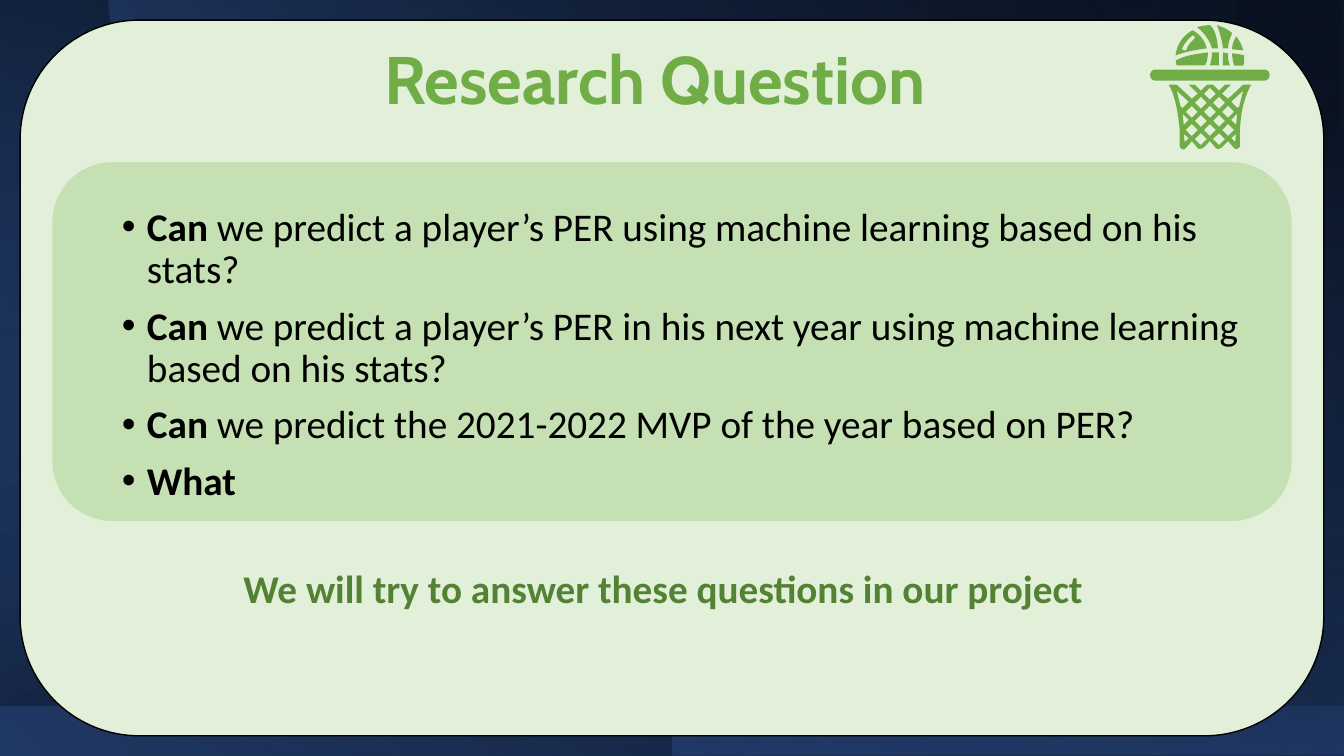
import pptx
import pptx.util
import pptx.dml.color
import pptx.enum.shapes
import pptx.enum.text
import pptx.oxml.ns
from lxml import etree

Inches, Pt = pptx.util.Inches, pptx.util.Pt
RGBColor = pptx.dml.color.RGBColor
SHAPE = pptx.enum.shapes.MSO_SHAPE
CENTER = pptx.enum.text.PP_ALIGN.CENTER
qn = pptx.oxml.ns.qn

BLACK = RGBColor(0x00, 0x00, 0x00)
NAVY = RGBColor(0x20, 0x38, 0x64)
BLUE = RGBColor(0x2F, 0x55, 0x97)
BRIGHT_BLUE = RGBColor(0x44, 0x72, 0xC4)
PALE_GREEN = RGBColor(0xE2, 0xF0, 0xD9)
SOFT_GREEN = RGBColor(0xA9, 0xD1, 0x8E)
GREEN = RGBColor(0x70, 0xAD, 0x47)
DARK_GREEN = RGBColor(0x54, 0x82, 0x35)

TITLE = "Research Question"
QUESTIONS = [
    ("Can", " we predict a player’s PER using machine learning based on his stats?"),
    ("Can", " we predict a player’s PER in his next year using machine learning based on his stats?"),
    ("Can", " we predict the 2021-2022 MVP of the year based on PER?"),
    ("What", ""),
]
CLOSING = "We will try to answer these questions in our project"

BACKDROP = [
    ((0, 0, 13.33, 7.5), 0, True, 230, [(0, NAVY, 100), (100, BLACK, 100)]),
    ((0, 0, 13.33, 7), 180, False, 250, [(1, BLUE, 59), (100, BLACK, 100)]),
    ((2.91, -2.9, 7.5, 13.3), 90, True, 0, [(13, NAVY, 0), (99, BLACK, 28)]),
    ((6.67, 0, 6.67, 7.5), 0, True, 100, [(13, NAVY, 0), (99, BLUE, 50)]),
    ((0, 0, 13.32, 7.52), 0, True, 80, [(13, BLACK, 35), (99, BLUE, 0)]),
]
BOWL = [(1.08, 0), (12.25, 0), (12.25, 0.14), (11.96, 2.97, 9.57, 5.18, 6.67, 5.18),
        (3.76, 5.18, 1.37, 2.97, 1.09, 0.14)]
BOWL_FILL = (170, [(7, NAVY, 4), (99, BRIGHT_BLUE, 24)])

BALL_AND_RIM = [
    [[(12.07, 0.25), (12.1, 0.33, 12.12, 0.4, 12.13, 0.48), (12.18, 0.48),
      (12.18, 0.43, 12.2, 0.38, 12.22, 0.33), (12.18, 0.29, 12.13, 0.27, 12.07, 0.25)]],
    [[(12.13, 0.52), (12.13, 0.65), (12.2, 0.65),
      (12.18, 0.61, 12.18, 0.57, 12.18, 0.53)]],
    [[(12.26, 0.36), (12.24, 0.4, 12.22, 0.44, 12.22, 0.49), (12.33, 0.5),
      (12.32, 0.45, 12.29, 0.4, 12.26, 0.36)]],
    [[(12.07, 0.52), (12.02, 0.52), (12.02, 0.58, 12.01, 0.61, 12, 0.65),
      (12.09, 0.65), (12.09, 0.52)]],
    [[(12.22, 0.53), (12.22, 0.57, 12.23, 0.61, 12.24, 0.65), (12.33, 0.65),
      (12.34, 0.63, 12.34, 0.61, 12.34, 0.55), (12.3, 0.54, 12.26, 0.53, 12.22, 0.53)]],
    [[(11.83, 0.3), (11.73, 0.35, 11.67, 0.45, 11.66, 0.55),
      (11.74, 0.52, 11.82, 0.5, 11.97, 0.48), (11.95, 0.4, 11.9, 0.34, 11.83, 0.3)],
     [(11.83, 0.35), (11.85, 0.36, 11.86, 0.37, 11.84, 0.39),
      (11.81, 0.42, 11.78, 0.45, 11.77, 0.49), (11.76, 0.51, 11.71, 0.5, 11.73, 0.47),
      (11.75, 0.43, 11.78, 0.39, 11.83, 0.35)]],
    [[(11.46, 0.69), (11.39, 0.69, 11.39, 0.8, 11.46, 0.8), (12.54, 0.8),
      (12.61, 0.8, 12.61, 0.69, 12.54, 0.69)]],
    [[(11.98, 0.52), (11.91, 0.53), (11.83, 0.54, 11.74, 0.56, 11.66, 0.6),
      (11.67, 0.65), (11.95, 0.65), (11.97, 0.62, 11.98, 0.58, 11.98, 0.52)]],
    [[(12, 0.25), (11.96, 0.25, 11.91, 0.26, 11.87, 0.27),
      (11.94, 0.32, 12, 0.4, 12.02, 0.48), (12.08, 0.48),
      (12.07, 0.37, 12.05, 0.29, 12, 0.25)]],
]
NET_EDGE = [
    (11.59, 0.84), (11.66, 0.94, 11.69, 1.17, 11.7, 1.29), (11.7, 1.44),
    (11.7, 1.47, 11.73, 1.5, 11.76, 1.47), (11.82, 1.4), (11.88, 1.47),
    (11.89, 1.48, 11.92, 1.48, 11.94, 1.46), (12, 1.4), (12.06, 1.47),
    (12.07, 1.48, 12.1, 1.48, 12.12, 1.46), (12.18, 1.4), (12.24, 1.47),
    (12.26, 1.49, 12.3, 1.47, 12.3, 1.44), (12.29, 1.33, 12.3, 1.21, 12.32, 1.09),
    (12.36, 0.91, 12.41, 0.84, 12.41, 0.84), (12.33, 0.84), (12.18, 0.98),
    (12.12, 0.93), (12.21, 0.84), (12.15, 0.84), (12.09, 0.9), (12.03, 0.84),
    (11.97, 0.84), (11.91, 0.9), (11.85, 0.84), (11.79, 0.84), (11.88, 0.93),
    (11.82, 0.98), (11.67, 0.84),
]
NET_CENTER, NET_TOP, NET_STEP, HOLE = 12, 0.93, 0.09, 0.06
HOLE_ROWS = [(0,), (-1, 1), (-2, 0, 2), (-1, 1), (-2, 0, 2), (-1, 1)]
SIDE_HOLES = [
    [(-0.33, 0.9), (-0.21, 1.01), (-0.27, 1.07), (-0.29, 1.06)],
    [(-0.27, 1.13), (-0.21, 1.19), (-0.26, 1.24)],
    [(-0.26, 1.33), (-0.21, 1.37), (-0.25, 1.41)],
]


def set_alpha(color_el, percent):
    etree.SubElement(color_el, qn("a:alpha")).set("val", str(percent * 1000))


def paint_gradient(s, angle, stops):
    s.shadow.inherit = False
    s.line.fill.background()
    s.fill.gradient()
    s.fill.gradient_angle = (360 - angle) % 360
    for stop, (position, color, opacity) in zip(s.fill.gradient_stops, stops):
        stop.position = position / 100
        stop.color.rgb = color
    colors = s._element.spPr.iter(qn("a:srgbClr"))
    for color_el, (position, color, opacity) in zip(list(colors), stops):
        set_alpha(color_el, opacity)


def paint_solid(s, color):
    s.shadow.inherit = False
    s.line.fill.background()
    s.fill.solid()
    s.fill.fore_color.rgb = color


def flatten(outline, steps=10):
    points = [outline[0]]
    for seg in outline[1:]:
        if len(seg) == 2:
            points.append(seg)
            continue
        knots = [points[-1], seg[:2], seg[2:4], seg[4:]]
        for i in range(1, steps + 1):
            t = i / steps
            weights = ((1 - t) ** 3, 3 * t * (1 - t) ** 2, 3 * t * t * (1 - t), t ** 3)
            points.append(tuple(sum(w * k[a] for w, k in zip(weights, knots)) for a in (0, 1)))
    return [(Inches(x), Inches(y)) for x, y in points]


def add_outline(shapes, contours):
    first, *others = [flatten(c) for c in contours]
    builder = shapes.build_freeform(*first[0])
    builder.add_line_segments(first[1:], close=True)
    for points in others:
        builder.move_to(*points[0])
        builder.add_line_segments(points[1:], close=True)
    return builder.convert_to_shape()


def add_panel(shapes, box, color):
    s = shapes.add_shape(SHAPE.ROUNDED_RECTANGLE, *map(Inches, box))
    paint_solid(s, color)
    return s


def add_text(shapes, box, paragraphs, font, bullets=False, **spacing):
    tf = shapes.add_textbox(*map(Inches, box)).text_frame
    tf.word_wrap = True
    for i, runs in enumerate(paragraphs):
        p = tf.paragraphs[0] if i == 0 else tf.add_paragraph()
        if bullets:
            pPr = p._p.get_or_add_pPr()
            pPr.set("marL", str(Inches(0.25)))
            pPr.set("indent", str(-Inches(0.25)))
            etree.SubElement(pPr, qn("a:buFont")).set("typeface", "Arial")
            etree.SubElement(pPr, qn("a:buChar")).set("char", "•")
        for name, value in {"line_spacing": 0.9, **spacing}.items():
            setattr(p, name, value)
        if i:
            p.space_before = Pt(10)
        for text, bold in runs:
            r = p.add_run()
            r.text = text
            for name, value in {**font, "bold": bold}.items():
                if name == "color":
                    r.font.color.rgb = value
                else:
                    setattr(r.font, name, value)


def net_contours():
    contours = [NET_EDGE]
    for row, columns in enumerate(HOLE_ROWS):
        y = NET_TOP + row * NET_STEP
        for column in columns:
            x = NET_CENTER + column * NET_STEP
            contours.append([(x, y - HOLE), (x + HOLE, y), (x, y + HOLE), (x - HOLE, y)])
    for side in (1, -1):
        contours += [[(NET_CENTER + side * x, y) for x, y in hole] for hole in SIDE_HOLES]
    return contours


def main():
    prs = pptx.Presentation()
    prs.slide_width, prs.slide_height = Inches(13.33), Inches(7.5)
    shapes = prs.slides.add_slide(prs.slide_layouts[6]).shapes

    for box, rotation, flipped, angle, stops in BACKDROP:
        s = shapes.add_shape(SHAPE.RECTANGLE, *map(Inches, box))
        s.rotation = rotation
        if flipped:
            s._element.spPr.find(qn("a:xfrm")).set("flipH", "1")
        paint_gradient(s, angle, stops)
    paint_gradient(add_outline(shapes, [BOWL]), *BOWL_FILL)

    card = add_panel(shapes, (0.2, 0.2, 12.93, 7.1), PALE_GREEN)
    card.line.color.rgb = BLACK
    card.line.width = Pt(1)
    add_text(shapes, (0.68, 0.41, 11.63, 0.83), [[(TITLE, True)]],
             {"name": "Cabin", "size": Pt(48), "color": GREEN},
             alignment=CENTER, space_after=Pt(6))

    panel = add_panel(shapes, (0.52, 1.61, 12.29, 3.56), SOFT_GREEN)
    set_alpha(panel._element.spPr.find(qn("a:solidFill"))[0], 50)
    body = {"name": "Calibri", "size": Pt(28)}
    questions = [[(t, b) for t, b in ((lead, True), (rest, False)) if t]
                 for lead, rest in QUESTIONS]
    add_text(shapes, (1.11, 2.01, 11.5, 3.34), questions, {**body, "color": BLACK}, bullets=True)

    hoop = shapes.add_group_shape()
    for contours in BALL_AND_RIM + [net_contours()]:
        paint_solid(add_outline(hoop.shapes, contours), GREEN)

    add_text(shapes, (0.8, 5.6, 11.55, 0.62), [[(CLOSING, True)]],
             {**body, "color": DARK_GREEN}, alignment=CENTER)
    prs.save("out.pptx")


if __name__ == "__main__":
    main()
